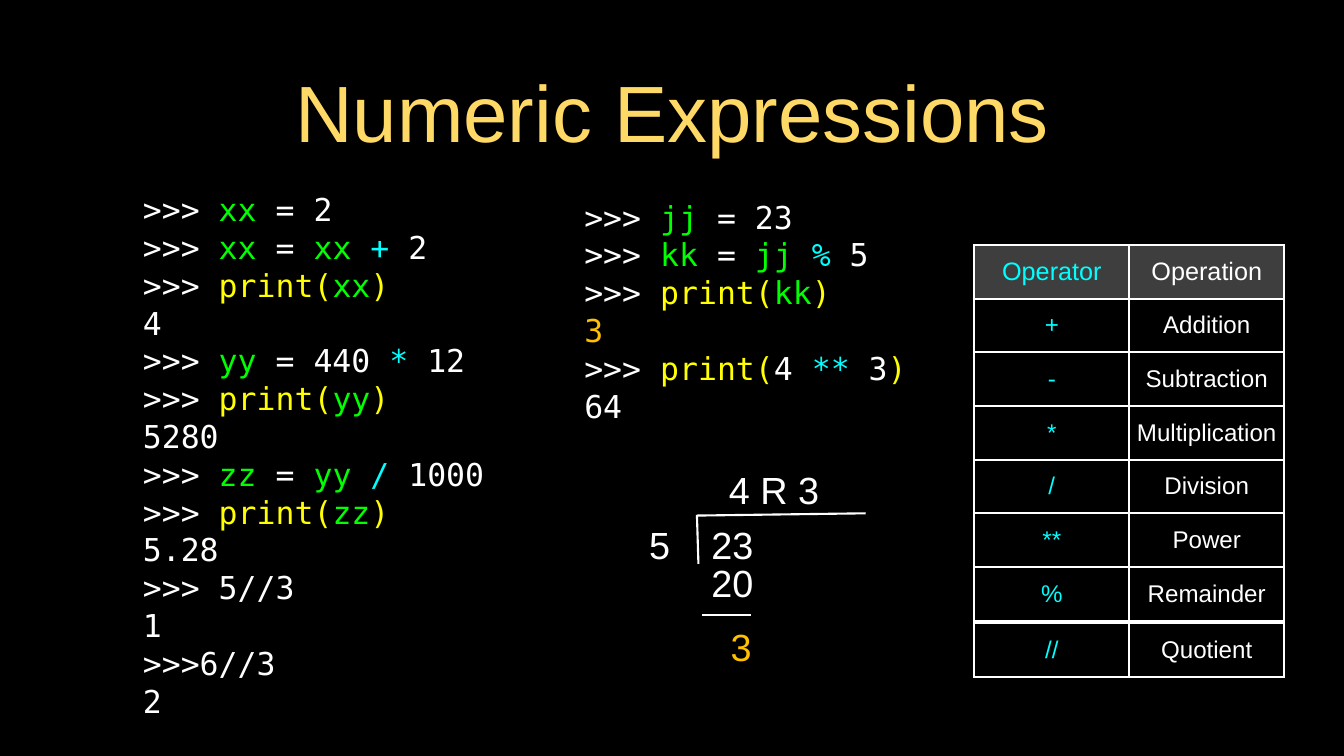
from lxml import etree
from pptx import Presentation
from pptx.dml.color import RGBColor
from pptx.enum.shapes import MSO_CONNECTOR
from pptx.enum.text import MSO_ANCHOR, PP_ALIGN
from pptx.oxml.ns import qn
from pptx.util import Inches, Pt

BLACK = RGBColor(0x00, 0x00, 0x00)
WHITE = RGBColor(0xFF, 0xFF, 0xFF)
GREEN = RGBColor(0x00, 0xFF, 0x00)
CYAN = RGBColor(0x00, 0xFF, 0xFF)
YELLOW = RGBColor(0xFF, 0xFF, 0x00)
ORANGE = RGBColor(0xFF, 0xC0, 0x00)
GOLD = RGBColor(0xFF, 0xD9, 0x66)
GRAY = RGBColor(0x7F, 0x7F, 0x7F)

SANS, MONO = "Arial", "DejaVu Sans Mono"

# Colour of each code token; all others are white
TOKEN_COLORS = {
    **dict.fromkeys(("xx", "yy", "zz", "jj", "kk"), GREEN),
    **dict.fromkeys(("+", "*", "/", "%", "**"), CYAN),
    **dict.fromkeys(("print(", ")"), YELLOW),
    "3": ORANGE,
}

# Code lines, with tokens separated by bars
LEFT_CODE = [
    ">>> |xx| = 2",
    ">>> |xx| = |xx| |+| 2",
    ">>> |print(|xx|)",
    "4",
    ">>> |yy| = 440 |*| 12",
    ">>> |print(|yy|)",
    "5280",
    ">>> |zz| = |yy| |/| 1000",
    ">>> |print(|zz|)",
    "5.28",
    ">>> 5//3",
    "1",
    ">>>6//3",
    "2",
]
RIGHT_CODE = [
    ">>> |jj| = 23",
    ">>> |kk| = |jj| |%| 5",
    ">>> |print(|kk|)",
    "3",
    ">>> |print(|4 |**| 3|)",
    "64",
]

OPERATORS = [
    ("Operator", "Operation"),
    ("+", "Addition"),
    ("-", "Subtraction"),
    ("*", "Multiplication"),
    ("/", "Division"),
    ("**", "Power"),
    ("%", "Remainder"),
]
EXTRA_OPERATORS = [("//", "Quotient")]


def format_run(r, size, color, font=SANS):
    r.font.name = font
    r.font.size = Pt(size)
    r.font.color.rgb = color


def add_box(s, left, top, width, height, wrap=True):
    sp = s.shapes.add_textbox(Inches(left), Inches(top), Inches(width), Inches(height))
    tf = sp.text_frame
    tf.word_wrap = wrap
    tf.vertical_anchor = MSO_ANCHOR.MIDDLE
    tf.margin_left = tf.margin_right = tf.margin_top = tf.margin_bottom = 0
    return tf


def add_label(s, text, left, top, width, height=0.68, size=36, color=WHITE):
    p = add_box(s, left, top, width, height, wrap=False).paragraphs[0]
    p.text = text
    p.alignment = PP_ALIGN.CENTER
    format_run(p.runs[0], size, color)


def add_code(s, lines, left, top, width, height):
    tf = add_box(s, left, top, width, height)
    tf.text = "\n".join(lines).replace("|", "")
    for p, line in zip(tf.paragraphs, lines):
        p.clear()
        p.line_spacing = Pt(36)
        for token in line.split("|"):
            r = p.add_run()
            r.text = token
            format_run(r, 30, TOKEN_COLORS.get(token, WHITE), MONO)


def add_line(s, x1, y1, x2, y2):
    line = s.shapes.add_connector(
        MSO_CONNECTOR.STRAIGHT, Inches(x1), Inches(y1), Inches(x2), Inches(y2))
    line.line.color.rgb = WHITE
    line.line.width = Pt(2)
    etree.SubElement(line._element.spPr, qn("a:effectLst"))


def set_borders(cell):
    tc_pr = cell._tc.get_or_add_tcPr()
    for i, side in enumerate(("a:lnL", "a:lnR", "a:lnT", "a:lnB")):
        ln = etree.Element(qn(side), w=str(Pt(2)))
        fill = etree.SubElement(ln, qn("a:solidFill"))
        etree.SubElement(fill, qn("a:srgbClr"), val=str(WHITE))
        tc_pr.insert(i, ln)


def fill_header(cell):
    cell.fill.solid()
    cell.fill.fore_color.rgb = GRAY
    color = cell._tc.tcPr.find(".//" + qn("a:srgbClr"))
    etree.SubElement(color, qn("a:alpha"), val="49000")


def add_operator_table(s, rows, top, header=False):
    row_height = Inches(0.71)
    table = s.shapes.add_table(
        len(rows), 2, Inches(12.89), Inches(top), Inches(4.1), row_height * len(rows)).table
    table.first_row = header
    table.horz_banding = False
    for i, row in enumerate(rows):
        table.rows[i].height = row_height
        is_header = header and i == 0
        for j, text in enumerate(row):
            cell = table.cell(i, j)
            cell.text = text
            cell.vertical_anchor = MSO_ANCHOR.MIDDLE
            cell.margin_left = cell.margin_right = Inches(0.04)
            cell.margin_top = cell.margin_bottom = Inches(0.04)
            p = cell.text_frame.paragraphs[0]
            p.alignment = PP_ALIGN.CENTER
            format_run(p.runs[0], 24 if is_header else 23, WHITE if j else CYAN)
            p.runs[0].font.bold = False
            if is_header:
                fill_header(cell)
            else:
                cell.fill.background()
            set_borders(cell)


def add_long_division(s):
    # Bracket and subtraction rule
    add_line(s, 9.22, 6.81, 9.24, 7.46)
    add_line(s, 9.22, 6.82, 11.45, 6.79)
    add_line(s, 9.29, 8.14, 9.93, 8.14)
    # Numbers
    add_label(s, "4 R 3", 9.64, 6.13, 1.2)
    add_label(s, "5", 8.54, 6.86, 0.37)
    add_label(s, "23", 9.38, 6.86, 0.62)
    add_label(s, "20", 9.38, 7.36, 0.62)
    add_label(s, "3", 9.62, 8.21, 0.37, color=ORANGE)


def main():
    prs = Presentation()
    prs.slide_width, prs.slide_height = Inches(17.78), Inches(10)
    s = prs.slides.add_slide(prs.slide_layouts[6])
    s.background.fill.solid()
    s.background.fill.fore_color.rgb = BLACK

    # Title
    add_label(s, "Numeric Expressions", 0.89, 0.86, 16, 1.21, 76, GOLD)

    # Interpreter sessions
    add_code(s, LEFT_CODE, 1.89, 3.11, 4.88, 5.81)
    add_code(s, RIGHT_CODE, 7.73, 2.35, 4.4, 3.53)

    # Worked division
    add_long_division(s)

    # Operator tables
    add_operator_table(s, OPERATORS, 3.24, header=True)
    add_operator_table(s, EXTRA_OPERATORS, 8.24)

    prs.save("out.pptx")


if __name__ == "__main__":
    main()
